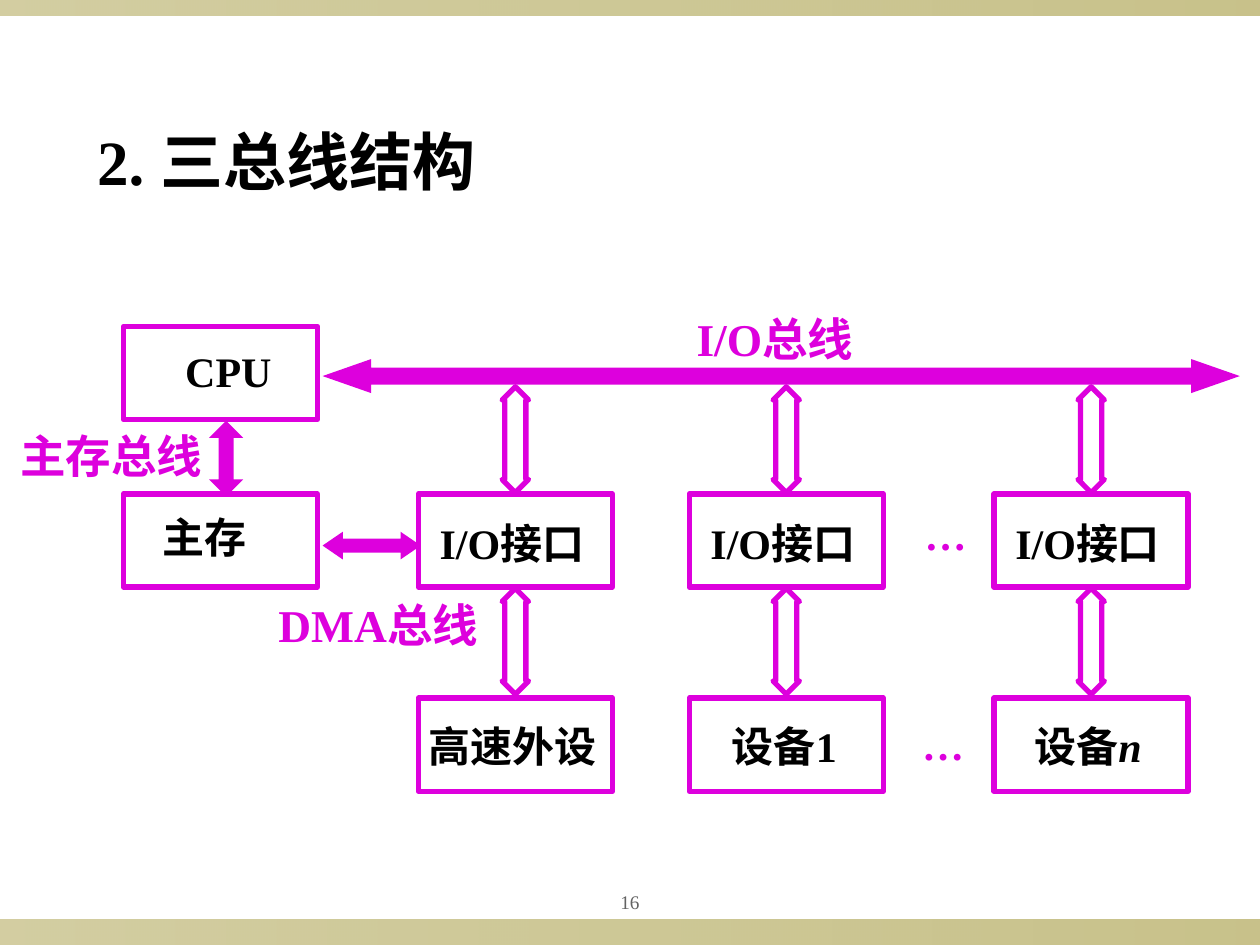
import pptx
import pptx.dml.color
import pptx.enum.shapes
import pptx.enum.text
import pptx.oxml
import pptx.oxml.ns
import pptx.util

SHAPE = pptx.enum.shapes.MSO_SHAPE
ALIGN = pptx.enum.text.PP_ALIGN
ANCHOR = pptx.enum.text.MSO_ANCHOR
FIT = pptx.enum.text.MSO_AUTO_SIZE
inch = pptx.util.Inches

LATIN, HAN = "Times New Roman", "Noto Sans CJK SC"
BUS, INK, PAGE, BAND = "DD00DD", "000000", "636363", "918415"

deck = pptx.Presentation()
deck.slide_width, deck.slide_height = inch(10), inch(7.5)
slide = deck.slides.add_slide(deck.slide_layouts[5])


def paint(color, code):
    """Give a fill, line or font colour object its hex value."""
    color.rgb = pptx.dml.color.RGBColor.from_string(code)


def write(box, runs, size, code, frame_format, align=ALIGN.LEFT, bold=True):
    """Put (text, font, italic) runs into a box as one paragraph."""
    frame = box.text_frame
    for name, value in frame_format.items():
        setattr(frame, name, value)
    paragraph = frame.paragraphs[0]
    paragraph.alignment = align
    for text, face, italic in runs:
        run = paragraph.add_run()
        run.text = text
        values = {"name": face, "size": pptx.util.Pt(size), "bold": bold, "italic": italic}
        for name, value in values.items():
            setattr(run.font, name, value)
        paint(run.font.color, code)
        east_asian = pptx.oxml.parse_xml(
            f'<a:ea {pptx.oxml.ns.nsdecls("a")} typeface="{HAN}"/>')
        run.font._element.find(pptx.oxml.ns.qn("a:latin")).addnext(east_asian)


# Frame formats
inset = {"margin_left": inch(0.1), "margin_right": inch(0.1),
         "margin_top": inch(0.05), "margin_bottom": inch(0.05),
         "vertical_anchor": ANCHOR.TOP, "word_wrap": True,
         "auto_size": FIT.SHAPE_TO_FIT_TEXT}
flush = inset | {f"margin_{side}": 0 for side in ("left", "right", "top", "bottom")}
one_line = {"word_wrap": False}

# Bands along the top and bottom edges
for top, height in ((7.3, 0.2), (0, 0.12)):
    band = slide.shapes.add_shape(SHAPE.RECTANGLE, 0, inch(top), deck.slide_width, inch(height))
    band.shadow.inherit = False
    band.line.fill.background()
    band.fill.gradient()
    band.fill.gradient_angle = 0
    for stop, opacity in zip(band.fill.gradient_stops, (40, 50)):
        paint(stop.color, BAND)
    for color, opacity in zip(band._element.spPr.iter(pptx.oxml.ns.qn("a:srgbClr")), (40, 50)):
        color.append(pptx.oxml.parse_xml(
            f'<a:alpha {pptx.oxml.ns.nsdecls("a")} val="{opacity * 1000}"/>'))

# Title and page number
title = slide.shapes.title
for name, value in zip(("left", "top", "width", "height"), (0.67, 0.92, 5.25, 0.75)):
    setattr(title, name, inch(value))
write(title, [("2. 三总线结构", LATIN, False)], 36, INK, inset | {"auto_size": FIT.NONE})
page = slide.shapes.add_textbox(inch(4.5), inch(7), inch(1), inch(0.31))
write(page, [("16", LATIN, False)], 11, PAGE,
      inset | {"vertical_anchor": ANCHOR.MIDDLE, "auto_size": FIT.NONE}, ALIGN.CENTER, False)

# Grid of units: memory column, then three interface columns
columns, rows = (0.98, 3.32, 5.47, 7.89), (2.59, 3.92, 5.54)
unit_width, unit_height = 1.54, 0.74
units = [(0, 0), (0, 1)] + [(column, row) for row in (1, 2) for column in (1, 2, 3)]
for column, row in units:
    unit = slide.shapes.add_shape(SHAPE.RECTANGLE, inch(columns[column]), inch(rows[row]),
                                  inch(unit_width), inch(unit_height))
    unit.shadow.inherit = False
    unit.fill.background()
    paint(unit.line.color, BUS)
    unit.line.width = pptx.util.Pt(3)

# Buses (solid) and links (outlined): kind, left, top, width, height, head, solid
arrows = [
    (SHAPE.LEFT_RIGHT_ARROW, 2.56, 2.85, 7.28, 0.27, 1.43, True),
    (SHAPE.UP_DOWN_ARROW, 1.66, 3.34, 0.27, 0.6, 0.44, True),
    (SHAPE.LEFT_RIGHT_ARROW, 2.56, 4.22, 0.78, 0.22, 0.73, True),
]
link_width, link_height = 0.21, 0.84
for left in columns[1:]:
    for top in (3.07, 4.67):
        arrows.append((SHAPE.UP_DOWN_ARROW, left + (unit_width - link_width) / 2, top,
                       link_width, link_height, 0.8, False))
for kind, left, top, width, height, head, solid in arrows:
    arrow = slide.shapes.add_shape(kind, inch(left), inch(top), inch(width), inch(height))
    arrow.shadow.inherit = False
    arrow.adjustments[0], arrow.adjustments[1] = 0.5, head
    if solid:
        arrow.fill.solid()
        paint(arrow.fill.fore_color, BUS)
        arrow.line.fill.background()
    else:
        arrow.fill.background()
        paint(arrow.line.color, BUS)
        arrow.line.width = pptx.util.Pt(3)

# Labels: left, top, width, height, runs, size, colour, frame format
interface, dots = [("I/O接口", LATIN, False)], [("…", LATIN, False)]
labels = [
    (0.16, 3.4, 1.45, 0.43, [("主存总线", HAN, False)], 26, BUS, flush | one_line),
    (2.21, 4.74, 1.67, 0.43, [("DMA", LATIN, False), ("总线", HAN, False)], 26, BUS,
     flush | one_line),
    (5.43, 2.42, 1.53, 0.54, [("I/O总线", LATIN, False)], 26, BUS, inset | one_line),
    (1.47, 2.74, 1.01, 0.4, [("CPU", LATIN, False)], 24, INK, flush),
    (1.29, 4.06, 1.44, 0.4, [("主存", HAN, False)], 24, INK, flush),
    (3.4, 5.72, 1.75, 0.4, [("高速外设", HAN, False)], 24, INK, flush),
    (5.81, 5.72, 1.17, 0.4, [("设备", HAN, False), ("1", LATIN, False)], 24, INK, flush),
    (8.21, 5.72, 1.27, 0.4, [("设备", HAN, False), ("n", LATIN, True)], 24, INK, flush),
    (7.24, 3.99, 0.53, 0.5, dots, 24, BUS, inset | one_line),
    (7.22, 5.65, 0.53, 0.5, dots, 24, BUS, inset | one_line),
]
for left in columns[1:]:
    labels.append((left + 0.07, 4.06, 1.69, 0.5, interface, 24, INK, inset))
for left, top, width, height, runs, size, code, frame_format in labels:
    label = slide.shapes.add_textbox(inch(left), inch(top), inch(width), inch(height))
    write(label, runs, size, code, frame_format)

deck.save("out.pptx")
